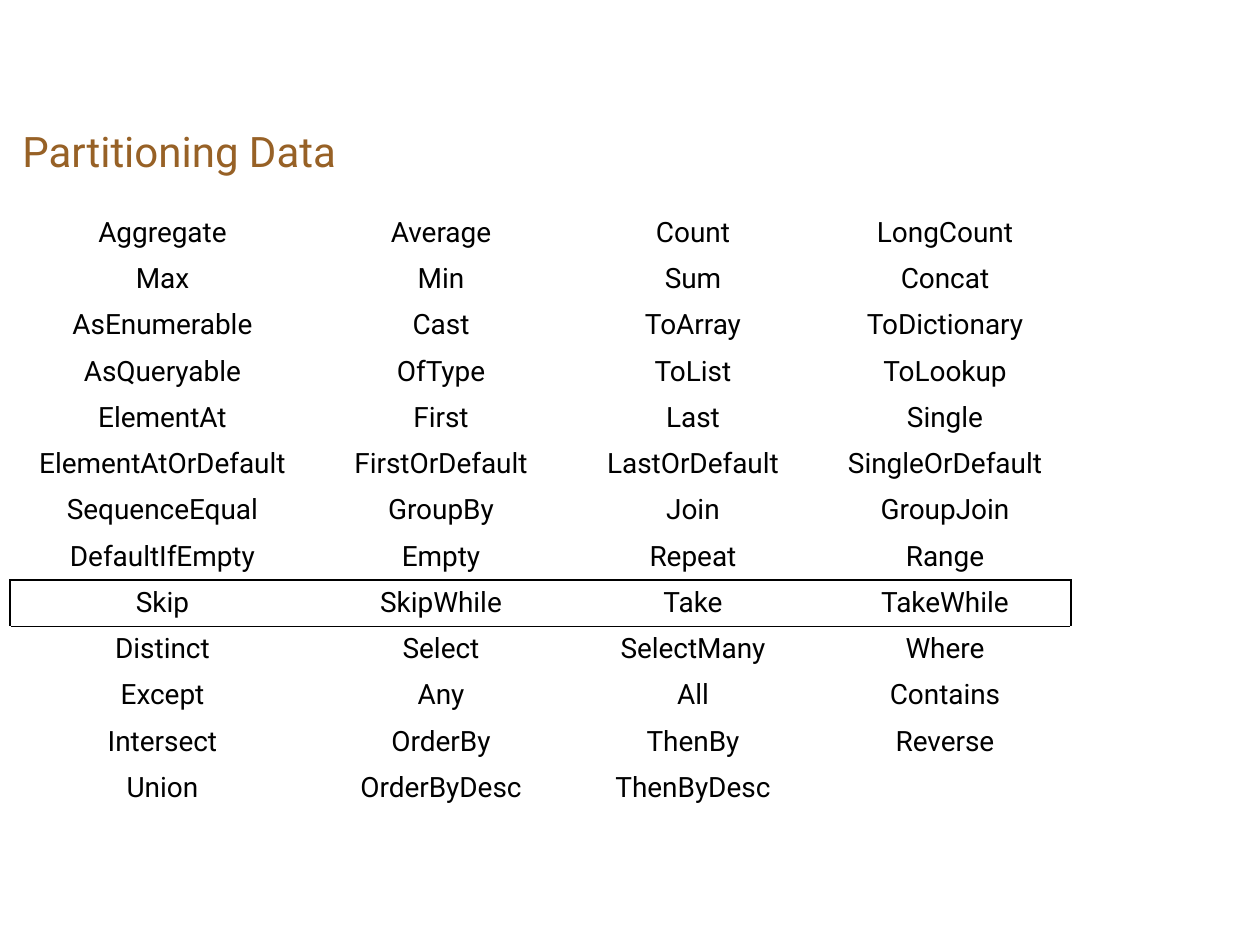
from dataclasses import dataclass

from lxml.etree import SubElement
from pptx import Presentation
from pptx.dml.color import RGBColor
from pptx.enum.text import MSO_ANCHOR, PP_ALIGN
from pptx.oxml.ns import qn
from pptx.util import Cm, Pt

COLORS = {"title": "976126", "text": "000000", "border": "000000"}
FONT = "Roboto"
LEFT = 0.2
COLUMN_WIDTHS = (6.15, 5.08, 5.08, 5.08)
ROW_HEIGHT = 0.91
HIGHLIGHT = "Skip"


@dataclass(frozen=True)
class TextStyle:
    size: int
    color: str
    alignment: PP_ALIGN


TITLE_STYLE = TextStyle(24, "title", PP_ALIGN.LEFT)
CELL_STYLE = TextStyle(16, "text", PP_ALIGN.CENTER)

OPERATORS = (
    ("Aggregate", "Average", "Count", "LongCount"),
    ("Max", "Min", "Sum", "Concat"),
    ("AsEnumerable", "Cast", "ToArray", "ToDictionary"),
    ("AsQueryable", "OfType", "ToList", "ToLookup"),
    ("ElementAt", "First", "Last", "Single"),
    ("ElementAtOrDefault", "FirstOrDefault", "LastOrDefault", "SingleOrDefault"),
    ("SequenceEqual", "GroupBy", "Join", "GroupJoin"),
    ("DefaultIfEmpty", "Empty", "Repeat", "Range"),
    ("Skip", "SkipWhile", "Take", "TakeWhile"),
    ("Distinct", "Select", "SelectMany", "Where"),
    ("Except", "Any", "All", "Contains"),
    ("Intersect", "OrderBy", "ThenBy", "Reverse"),
    ("Union", "OrderByDesc", "ThenByDesc", ""),
)


def write_text(text_frame, text: str, style: TextStyle) -> None:
    text_frame.text = text
    paragraph = text_frame.paragraphs[0]
    paragraph.alignment = style.alignment
    for run in paragraph.runs:
        run.font.name = FONT
        run.font.size = Pt(style.size)
        run.font.color.rgb = RGBColor.from_string(COLORS[style.color])


def add_border(cell, side: str) -> None:
    properties = cell._tc.get_or_add_tcPr()
    line = SubElement(properties, qn(f"a:ln{side}"), w=str(Pt(1)))
    fill = SubElement(line, qn("a:solidFill"))
    SubElement(fill, qn("a:srgbClr"), val=COLORS["border"])


def border_sides(row: int, column: int, highlighted: int) -> str:
    sides = ""
    if row == highlighted:
        sides += "L" if column == 0 else ""
        sides += "R" if column == len(COLUMN_WIDTHS) - 1 else ""
    if row in (highlighted, highlighted + 1):
        sides += "T"
    if row in (highlighted - 1, highlighted):
        sides += "B"
    return sides


def add_title(slide, text: str) -> None:
    shape = slide.shapes.add_textbox(Cm(LEFT), Cm(2.34), Cm(24.13), Cm(1.7))
    text_frame = shape.text_frame
    text_frame.word_wrap = True
    text_frame.vertical_anchor = MSO_ANCHOR.TOP
    text_frame.margin_top = Cm(0.19)
    write_text(text_frame, text, TITLE_STYLE)


def add_operator_table(slide) -> None:
    table = slide.shapes.add_table(
        len(OPERATORS), len(COLUMN_WIDTHS), Cm(LEFT), Cm(4.24),
        Cm(sum(COLUMN_WIDTHS)), Cm(ROW_HEIGHT * len(OPERATORS)),
    ).table
    table.first_row = False
    table.horz_banding = False
    for column, width in zip(table.columns, COLUMN_WIDTHS):
        column.width = Cm(width)
    highlighted = [names[0] for names in OPERATORS].index(HIGHLIGHT)
    for row, names in enumerate(OPERATORS):
        table.rows[row].height = Cm(ROW_HEIGHT)
        for column, name in enumerate(names):
            cell = table.cell(row, column)
            write_text(cell.text_frame, name, CELL_STYLE)
            for side in border_sides(row, column, highlighted):
                add_border(cell, side)
            cell.fill.background()


def main() -> None:
    presentation = Presentation()
    presentation.slide_width = Cm(25.4)
    presentation.slide_height = Cm(19.05)
    slide = presentation.slides.add_slide(presentation.slide_layouts[6])
    add_title(slide, "Partitioning Data")
    add_operator_table(slide)
    presentation.save("out.pptx")


if __name__ == "__main__":
    main()
